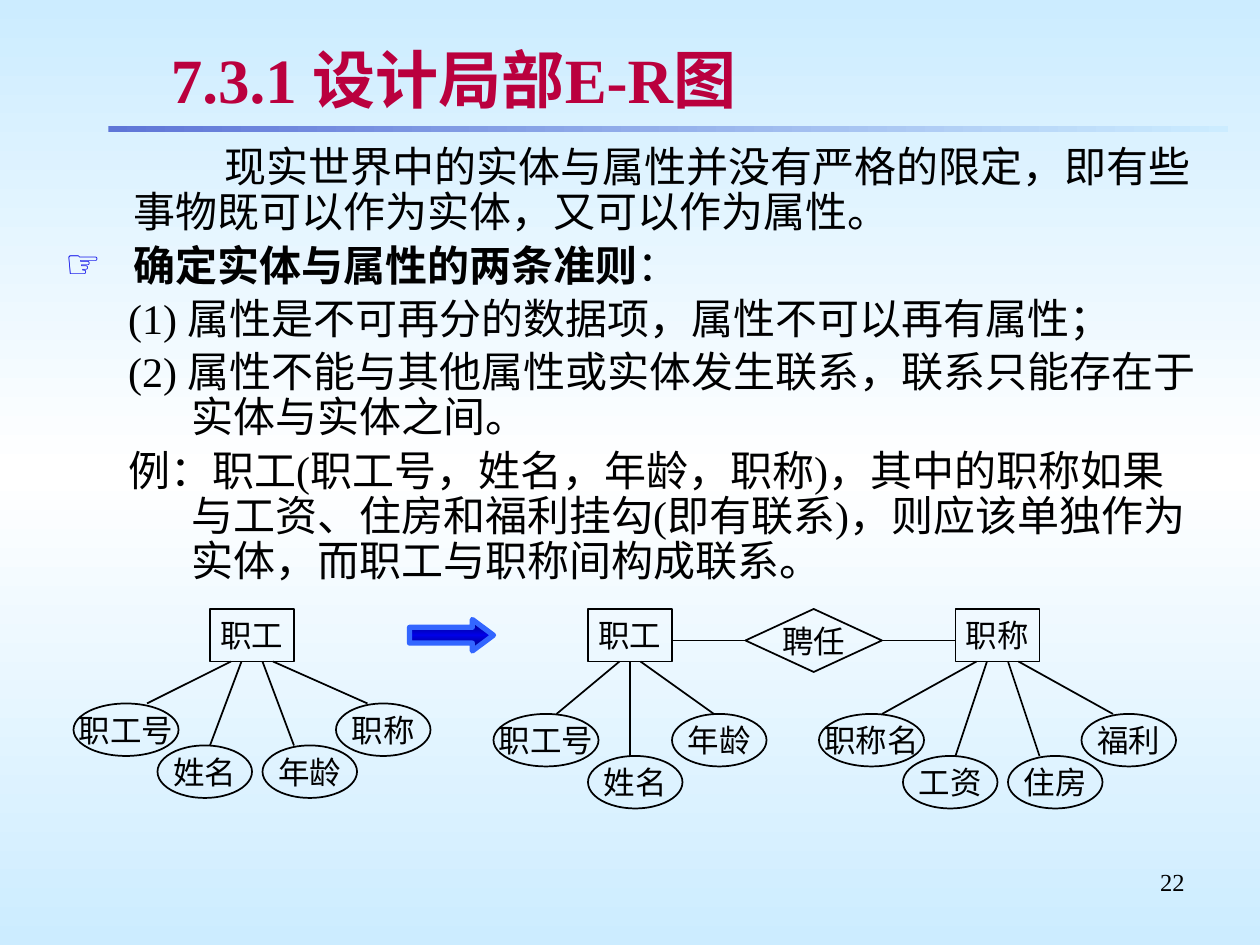
"""Build the slide on designing local E-R diagrams."""
from dataclasses import dataclass

from lxml import etree
from pptx import Presentation
from pptx import util as u
from pptx.dml.color import RGBColor
from pptx.enum import shapes, text
from pptx.oxml.ns import qn


@dataclass(frozen=True)
class Theme:
    """Colours, fonts and type sizes."""
    ink: str = "000000"
    title: str = "BA003E"
    bullet: str = "0000E8"
    sky: tuple = ("CCECFF", "FFFFFF", "CCECFF")
    rule: tuple = ("5F76D7", "CCECFF")
    arrow: tuple = ("00006B", "0000E8", "00006B")
    arrow_edge: str = "3366FF"
    serif: str = "Times New Roman"
    sans: str = "Arial"
    title_size: float = 36
    body_size: float = 24
    node_size: float = 18
    number_size: float = 14


@dataclass(frozen=True)
class Attribute:
    """An attribute oval and the line from its entity."""
    label: str
    left: float
    top: float
    line_start: float
    line_end: float


@dataclass(frozen=True)
class Entity:
    """An entity rectangle with its attributes."""
    label: str
    left: float
    attributes: tuple[Attribute, ...]


@dataclass(frozen=True)
class Passage:
    """A body paragraph as (wording, bold) phrases."""
    phrases: tuple[tuple[str, bool], ...]
    margin: float
    indent: float
    level: int = 0
    bullet: str = ""


THEME = Theme()
ENTITY_TOP, ENTITY_WIDTH, NODE_HEIGHT = 348, 48, 30
ENTITY_BOTTOM = ENTITY_TOP + NODE_HEIGHT

PASSAGES = (
    Passage((("现实世界中的实体与属性并没有严格的限定，即有些事物既可以作为实体，又可以作为属性。", False),), 39, 52),
    Passage((("确定实体与属性的两条准则", True), ("：", False)), 39, -39, bullet="☞"),
    Passage((("(1) 属性是不可再分的数据项，属性不可以再有属性；", False),), 72, -36, 1),
    Passage((("(2) 属性不能与其他属性或实体发生联系，联系只能存在于实体与实体之间。", False),), 72, -36, 1),
    Passage((("例：职工(职工号，姓名，年龄，职称)，其中的职称如果与工资、住房和福利挂勾(即有联系)，"
              "则应该单独作为实体，而职工与职称间构成联系。", False),), 72, -36, 1),
)

ENTITIES = (
    Entity("职工", 120, (
        Attribute("职工号", 42, 402, 132, 84),
        Attribute("姓名", 90, 426, 138, 120),
        Attribute("年龄", 150, 426, 150, 168),
        Attribute("职称", 192, 402, 156, 210))),
    Entity("职工", 336, (
        Attribute("职工号", 282, 408, 354, 318),
        Attribute("姓名", 336, 432, 360, 360),
        Attribute("年龄", 384, 408, 366, 408))),
    Entity("职称", 546, (
        Attribute("职称名", 468, 408, 558, 504),
        Attribute("工资", 516, 432, 564, 546),
        Attribute("住房", 576, 432, 576, 594),
        Attribute("福利", 618, 408, 582, 636))),
)


def place(box, left: float, top: float, width: float, height: float) -> None:
    """Move and size a box."""
    box.left, box.top, box.width, box.height = map(u.Pt, (left, top, width, height))


def write(para, wording: str, *, size: float, font: str = THEME.serif,
          colour: str = THEME.ink, bold: bool = False):
    """Add a formatted span to a paragraph."""
    span = para.add_run()
    span.text = wording
    span.font.size, span.font.name, span.font.bold = u.Pt(size), font, bold
    span.font.color.rgb = RGBColor.from_string(colour)
    return span


def add_element(parent, tag: str, **attributes: str):
    """Append an XML element."""
    return etree.SubElement(parent, qn(tag), attributes)


def fill_gradient(fill, holder, colours: tuple[str, ...], angle: float) -> None:
    """Fill with evenly spaced colour stops."""
    fill.gradient()
    fill.gradient_angle = angle
    stops = next(holder.iter(qn("a:gsLst")))
    for stop in list(stops):
        stops.remove(stop)
    for index, colour in enumerate(colours):
        position = 100000 * index // (len(colours) - 1)
        stop = add_element(stops, "a:gs", pos=str(position))
        add_element(stop, "a:srgbClr", val=colour)


def add_shape(page, kind, left: float, top: float, width: float, height: float):
    """Add a preset shape without a shadow."""
    shape = page.shapes.add_shape(kind, *map(u.Pt, (left, top, width, height)))
    shape.shadow.inherit = False
    return shape


def add_node(page, kind, label: str, left: float, top: float, width: float,
             height: float = NODE_HEIGHT):
    """Add an outlined, labelled diagram node."""
    node = add_shape(page, kind, left, top, width, height)
    node.fill.background()
    node.line.color.rgb = RGBColor.from_string(THEME.ink)
    node.line.width = u.Pt(1)
    frame = node.text_frame
    frame.word_wrap = False
    frame.vertical_anchor = text.MSO_ANCHOR.MIDDLE
    frame.paragraphs[0].alignment = text.PP_ALIGN.CENTER
    write(frame.paragraphs[0], label, size=THEME.node_size, font=THEME.sans)
    return node


def add_line(page, *ends: float):
    """Add a straight line between two points."""
    line = page.shapes.add_connector(shapes.MSO_CONNECTOR.STRAIGHT, *map(u.Pt, ends))
    line.line.color.rgb = RGBColor.from_string(THEME.ink)
    line.line.width = u.Pt(1)
    add_element(line._element.spPr, "a:effectLst")
    return line


def add_entity(page, entity: Entity) -> None:
    """Draw an entity, its attributes and their lines."""
    box = add_node(page, shapes.MSO_SHAPE.RECTANGLE, entity.label, entity.left,
                   ENTITY_TOP, ENTITY_WIDTH)
    for item in entity.attributes:
        width = 60 if len(item.label) == 3 else 54
        add_node(page, shapes.MSO_SHAPE.OVAL, item.label, item.left, item.top, width)
        line = add_line(page, item.line_start, ENTITY_BOTTOM, item.line_end, item.top)
        if item.line_start == entity.left + ENTITY_WIDTH / 2:
            line.begin_connect(box, 2)


def add_title(page) -> None:
    """Fill the title placeholder."""
    title = page.shapes.title
    place(title, 90.5, 21, 593.5, 48)
    frame = title.text_frame
    frame.auto_size = text.MSO_AUTO_SIZE.NONE
    frame.vertical_anchor = text.MSO_ANCHOR.MIDDLE
    frame.margin_top = frame.margin_bottom = u.Pt(3)
    para = frame.paragraphs[0]
    para.alignment = text.PP_ALIGN.LEFT
    span = write(para, "7.3.1 设计局部E-R图", size=THEME.title_size,
                 colour=THEME.title, bold=True)
    effects = etree.Element(qn("a:effectLst"))
    shadow = add_element(effects, "a:outerShdw", dist=str(u.Pt(2)), dir="2700000")
    colour = add_element(shadow, "a:srgbClr", val=THEME.title)
    add_element(colour, "a:alpha", val="40000")
    span._r.rPr.find(qn("a:solidFill")).addnext(effects)


def add_body(page) -> None:
    """Fill the body placeholder."""
    body = page.placeholders[1]
    place(body, 30, 80, 666, 268)
    frame = body.text_frame
    frame.auto_size = text.MSO_AUTO_SIZE.NONE
    for index, passage in enumerate(PASSAGES):
        para = frame.add_paragraph() if index else frame.paragraphs[0]
        para.level = passage.level
        para.line_spacing = 0.9
        para.space_before = u.Pt(4.5 if index else 0)
        format_xml = para._p.get_or_add_pPr()
        format_xml.set("marL", str(u.Pt(passage.margin)))
        format_xml.set("indent", str(u.Pt(passage.indent)))
        if passage.bullet:
            colour = add_element(format_xml, "a:buClr")
            add_element(colour, "a:srgbClr", val=THEME.bullet)
            add_element(format_xml, "a:buSzPct", val="95000")
            add_element(format_xml, "a:buChar", char=passage.bullet)
        else:
            add_element(format_xml, "a:buNone")
        for wording, bold in passage.phrases:
            write(para, wording, size=THEME.body_size, bold=bold)


def add_diagrams(page) -> None:
    """Draw both E-R diagrams and the arrow between them."""
    for entity in ENTITIES:
        add_entity(page, entity)
    relation = add_node(page, shapes.MSO_SHAPE.FLOWCHART_DECISION, "聘任", 426, ENTITY_TOP, 78, 36)
    add_line(page, 384, 366, 426, 366).end_connect(relation, 1)
    add_line(page, 504, 366, 546, 366).begin_connect(relation, 3)
    arrow = add_shape(page, shapes.MSO_SHAPE.RIGHT_ARROW, 234, 354, 48, 18)
    arrow.adjustments[1] = 0.67
    fill_gradient(arrow.fill, arrow._element, THEME.arrow, 90)
    arrow.line.color.rgb = RGBColor.from_string(THEME.arrow_edge)
    arrow.line.width = u.Pt(3)


def main() -> None:
    """Build and save the deck."""
    deck = Presentation()
    deck.slide_width, deck.slide_height = u.Pt(720), u.Pt(540)
    page = deck.slides.add_slide(deck.slide_layouts[1])
    fill_gradient(page.background.fill, page._element, THEME.sky, 90)
    rule = add_shape(page, shapes.MSO_SHAPE.RECTANGLE, 62, 72, 640, 3.5)
    fill_gradient(rule.fill, rule._element, THEME.rule, 0)
    rule.line.fill.background()
    add_title(page)
    add_body(page)
    add_diagrams(page)
    number = page.shapes.add_textbox(*map(u.Pt, (516, 492, 168, 37.5)))
    number.text_frame.word_wrap = True
    para = number.text_frame.paragraphs[0]
    para.alignment = text.PP_ALIGN.RIGHT
    write(para, "22", size=THEME.number_size)
    deck.save("out.pptx")


if __name__ == "__main__":
    main()
